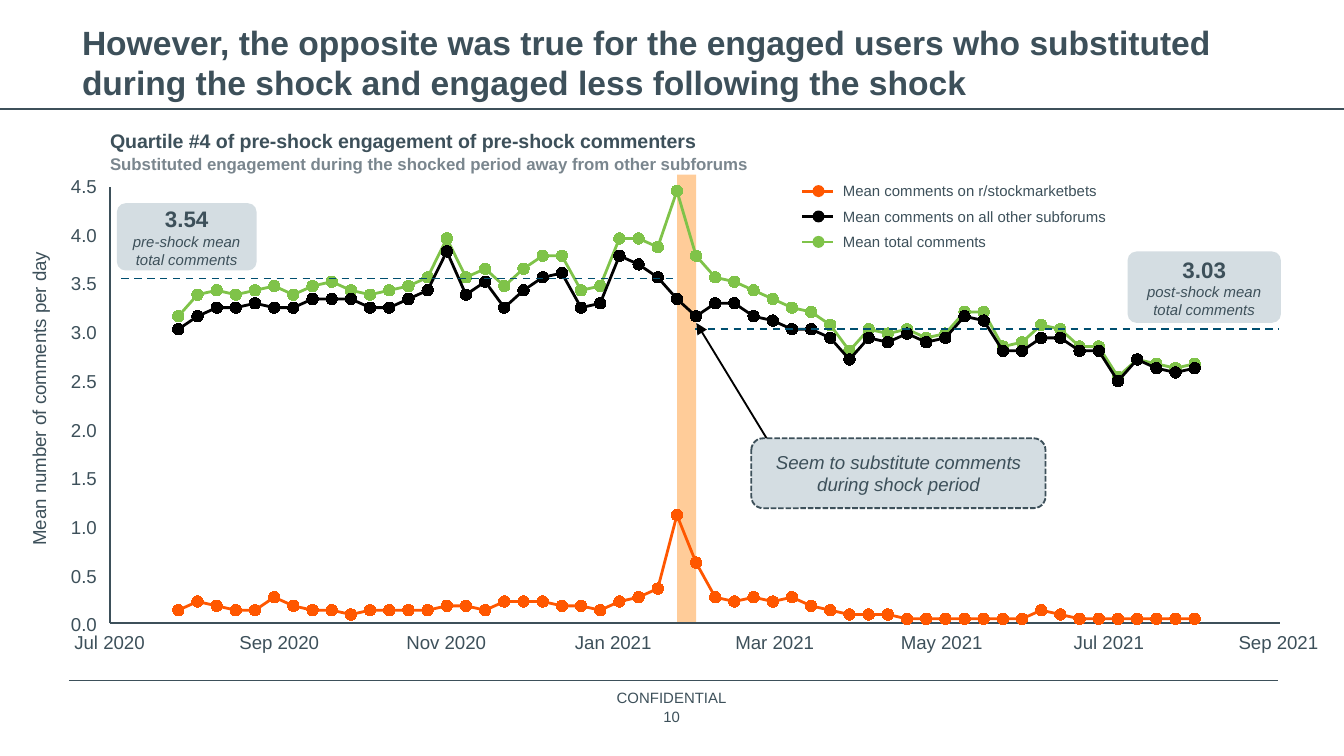
from dataclasses import dataclass
from typing import Optional

from lxml.etree import SubElement
from pptx import Presentation
from pptx.chart.data import XyChartData
from pptx.dml.color import RGBColor
from pptx.enum.chart import XL_CHART_TYPE as ChartType
from pptx.enum.chart import XL_MARKER_STYLE as Marker
from pptx.enum.chart import XL_TICK_LABEL_POSITION as LabelPosition
from pptx.enum.chart import XL_TICK_MARK as TickMark
from pptx.enum.dml import MSO_LINE as Dash
from pptx.enum.shapes import MSO_CONNECTOR as Connector
from pptx.enum.shapes import MSO_SHAPE as Preset
from pptx.enum.text import MSO_ANCHOR as Anchor
from pptx.enum.text import MSO_AUTO_SIZE as AutoSize
from pptx.enum.text import PP_ALIGN as Align
from pptx.oxml import parse_xml
from pptx.oxml.ns import nsdecls, qn
from pptx.util import Cm, Pt

SLATE = RGBColor(0x3D, 0x50, 0x5A)
GREY = RGBColor(0x7A, 0x86, 0x8E)
PALE = RGBColor(0xD4, 0xDD, 0xE2)
NAVY = RGBColor(0x00, 0x4E, 0x6F)
PEACH = RGBColor(0xFF, 0xCC, 0x99)
ORANGE = RGBColor(0xFF, 0x57, 0x00)
BLACK = RGBColor(0x00, 0x00, 0x00)
GREEN = RGBColor(0x7F, 0xC3, 0x49)


@dataclass
class Span:
    text: str
    size: float = 10
    bold: bool = False
    italic: bool = False
    color: RGBColor = SLATE


@dataclass
class Series:
    name: str
    color: RGBColor
    values: list[int]


@dataclass
class Callout:
    at: tuple[float, float, float, float]
    spans: list[Span]
    inset: float = 0.13
    corner: float = 0.127
    dashed: bool = False


@dataclass
class Rule:
    start: tuple[float, float]
    end: tuple[float, float]
    color: RGBColor = SLATE
    width: float = 0.75
    dash: Optional[Dash] = None
    arrow: bool = False


SERIES = [
    Series("Mean comments on r/stockmarketbets", ORANGE, [
        3, 5, 4, 3, 3, 6, 4, 3, 3, 2, 3, 3, 3, 3, 4, 4, 3, 5, 5, 5, 4, 4, 3, 5, 6, 8, 25,
        14, 6, 5, 6, 5, 6, 4, 3, 2, 2, 2, 1, 1, 1, 1, 1, 1, 1, 3, 2, 1, 1, 1, 1, 1, 1, 1]),
    Series("Mean comments on all other subforums", BLACK, [
        68, 71, 73, 73, 74, 73, 73, 75, 75, 75, 73, 73, 75, 77, 86, 76, 79, 73, 77, 80, 81,
        73, 74, 85, 83, 80, 75, 71, 74, 74, 71, 70, 68, 68, 66, 61, 66, 65, 67, 65, 66, 71,
        70, 63, 63, 66, 66, 63, 63, 56, 61, 59, 58, 59]),
    Series("Mean total comments", GREEN, [
        71, 76, 77, 76, 77, 78, 76, 78, 79, 77, 76, 77, 78, 80, 89, 80, 82, 78, 82, 85, 85,
        77, 78, 89, 89, 87, 100, 85, 80, 79, 77, 75, 73, 72, 69, 63, 68, 67, 68, 66, 67, 72,
        72, 64, 65, 69, 68, 64, 64, 57, 61, 60, 59, 60]),
]
FIRST_DAY, LAST_DAY, FIRST_WEEK = 18444, 18871, 18469
MONTHS = {"Jul 2020": 0, "Sep 2020": 62, "Nov 2020": 123, "Jan 2021": 184,
          "Mar 2021": 243, "May 2021": 304, "Jul 2021": 365, "Sep 2021": 427}
AXIS_LEFT, AXIS_WIDTH = 2.07, 22.09
CALLOUTS = [
    Callout((2.21, 3.84, 2.64, 1.27), [
        Span("3.54", 12, bold=True), Span("pre-shock mean total comments", 8, italic=True)]),
    Callout((21.31, 4.75, 2.9, 1.35), [
        Span("3.03", 12, bold=True), Span("post-shock mean total comments", 8, italic=True)],
        inset=0.25),
    Callout((14.2, 8.28, 5.56, 1.32), [
        Span("Seem to substitute comments during shock period", italic=True)],
        corner=0.167, dashed=True),
]
RULES = [
    Rule((0, 2.06), (25.4, 2.06)),
    Rule((1.3, 12.85), (24.16, 12.85)),
    Rule((2.29, 5.26), (12.73, 5.26), NAVY, 1, Dash.DASH),
    Rule((13.13, 6.22), (24.16, 6.22), NAVY, 1, Dash.DASH),
    Rule((14.66, 8.56), (13.16, 6.1), BLACK, 1, arrow=True),
]


def write(frame, spans: list[Span], align=Align.LEFT, anchor=Anchor.MIDDLE,
          inset: float = 0, wrap: bool = True, before: float = 0) -> None:
    frame.auto_size = AutoSize.NONE
    frame.word_wrap = wrap
    frame.vertical_anchor = anchor
    frame.margin_left = frame.margin_right = Cm(inset)
    frame.margin_top = frame.margin_bottom = Cm(inset)
    for index, span in enumerate(spans):
        para = frame.add_paragraph() if index else frame.paragraphs[0]
        para.alignment = align
        para.space_before = Pt(before)
        run = para.add_run()
        run.text = span.text
        font = run.font
        font.name, font.size = "Arial", Pt(span.size)
        font.bold, font.italic = span.bold, span.italic
        font.color.rgb = span.color


def add_text(page, at: tuple, spans: list[Span], rotation: float = 0, **layout) -> None:
    box = page.shapes.add_textbox(*map(Cm, at))
    box.rotation = rotation
    write(box.text_frame, spans, **layout)


def add_block(page, preset: Preset, at: tuple, color: RGBColor):
    block = page.shapes.add_shape(preset, *map(Cm, at))
    block.shadow.inherit = False
    block.fill.solid()
    block.fill.fore_color.rgb = color
    block.line.fill.background()
    return block


def add_rule(page, rule: Rule) -> None:
    line = page.shapes.add_connector(Connector.STRAIGHT, *map(Cm, rule.start + rule.end))
    line.line.color.rgb = rule.color
    line.line.width = Pt(rule.width)
    if rule.dash:
        line.line.dash_style = rule.dash
    properties = line._element.spPr
    if rule.arrow:
        SubElement(properties.find(qn("a:ln")), qn("a:tailEnd"), type="triangle")
    SubElement(properties, qn("a:effectLst"))


def add_callout(page, callout: Callout) -> None:
    block = add_block(page, Preset.ROUNDED_RECTANGLE, callout.at, PALE)
    block.adjustments[0] = callout.corner
    if callout.dashed:
        block.line.color.rgb = SLATE
        block.line.width = Pt(1)
        block.line.dash_style = Dash.SQUARE_DOT
    write(block.text_frame, callout.spans, align=Align.CENTER, inset=callout.inset)


def add_comment_chart(page) -> None:
    data = XyChartData()
    for series in SERIES:
        points = data.add_series(series.name)
        for week, value in enumerate(series.values):
            points.add_data_point(FIRST_WEEK + 7 * week, value)
    at = map(Cm, (1.85, 3.3, 22.56, 8.71))
    chart = page.shapes.add_chart(ChartType.XY_SCATTER_LINES, *at, data).chart
    chart.has_legend = chart.has_title = False
    chart.font.name, chart.font.size = "Arial", Pt(10)
    chart.font.color.rgb = SLATE
    limits = [(chart.category_axis, FIRST_DAY, LAST_DAY), (chart.value_axis, 0, 101)]
    for axis, low, high in limits:
        axis.minimum_scale, axis.maximum_scale = low, high
        axis.has_major_gridlines = False
        axis.major_tick_mark = axis.minor_tick_mark = TickMark.NONE
        axis.tick_label_position = LabelPosition.NONE
        axis.format.line.color.rgb = SLATE
        axis.format.line.width = Pt(0.75)
    plot = chart.plots[0]
    plot.vary_by_categories = False
    for drawn, series in zip(plot.series, SERIES):
        drawn.smooth = False
        drawn.format.line.color.rgb = series.color
        drawn.format.line.width = Pt(1.5)
        drawn.marker.style, drawn.marker.size = Marker.CIRCLE, 6
        drawn.marker.format.fill.solid()
        drawn.marker.format.fill.fore_color.rgb = series.color
        drawn.marker.format.line.color.rgb = series.color
    area = chart._chartSpace.chart.plotArea
    for old in area.findall(qn("c:layout")):
        area.remove(old)
    sizes = {"x": 0.01, "y": 0.026, "w": 0.98, "h": 0.947}
    modes = '<c:xMode val="edge"/><c:yMode val="edge"/>'
    places = "".join(f'<c:{key} val="{size}"/>' for key, size in sizes.items())
    area.insert(0, parse_xml(
        f'<c:layout {nsdecls("c")}><c:manualLayout><c:layoutTarget val="inner"/>'
        f"{modes}{places}</c:manualLayout></c:layout>"))


deck = Presentation()
deck.slide_width, deck.slide_height = Cm(25.4), Cm(14.28)
page = deck.slides.add_slide(deck.slide_layouts[5])
title = page.shapes.title
title.left, title.top, title.width, title.height = map(Cm, (1.3, 0.33, 22.86, 1.73))
write(title.text_frame, [Span(
    "However, the opposite was true for the engaged users who substituted "
    "during the shock and engaged less following the shock", 18, bold=True)],
    anchor=Anchor.BOTTOM, inset=0.25)
title.text_frame.margin_top = title.text_frame.margin_bottom = Cm(0.13)

add_block(page, Preset.RECTANGLE, (12.8, 3.3, 0.36, 8.46), PEACH)
add_comment_chart(page)
for month, day in MONTHS.items():
    center = AXIS_LEFT + AXIS_WIDTH * day / (LAST_DAY - FIRST_DAY)
    add_text(page, (center - 0.75, 11.91, 1.5, 0.43), [Span(month)],
             align=Align.CENTER, anchor=Anchor.TOP, wrap=False)
for step in range(10):
    add_text(page, (1.35, 11.58 - 0.92 * step, 0.48, 0.43), [Span(f"{step / 2:.1f}")],
             align=Align.RIGHT, wrap=False)
for row, series in enumerate(SERIES):
    middle = 3.61 + 0.48 * row
    add_rule(page, Rule((15.16, middle), (15.75, middle), series.color, 1.5))
    dot = add_block(page, Preset.OVAL, (15.37, middle - 0.1, 0.2, 0.2), series.color)
    dot.line.color.rgb = series.color
    dot.line.width = Pt(0.75)
    add_text(page, (15.93, middle - 0.17, 5, 0.33), [Span(series.name, 8)], wrap=False)
add_text(page, (2.08, 2.41, 13.49, 0.91), [
    Span("Quartile #4 of pre-shock engagement of pre-shock commenters", 10.5, bold=True),
    Span("Substituted engagement during the shocked period away from other subforums",
         9, bold=True, color=GREY)], before=0.8)
for rule in RULES:
    add_rule(page, rule)
for callout in CALLOUTS:
    add_callout(page, callout)
add_text(page, (-2.13, 7.24, 5.72, 0.58), [Span("Mean number of comments per day")],
         rotation=270, align=Align.CENTER)
for top, words in ((13, "CONFIDENTIAL"), (13.36, "10")):
    add_text(page, (11.5, top, 2.39, 0.36), [Span(words, 8)], align=Align.CENTER)
deck.save("out.pptx")
